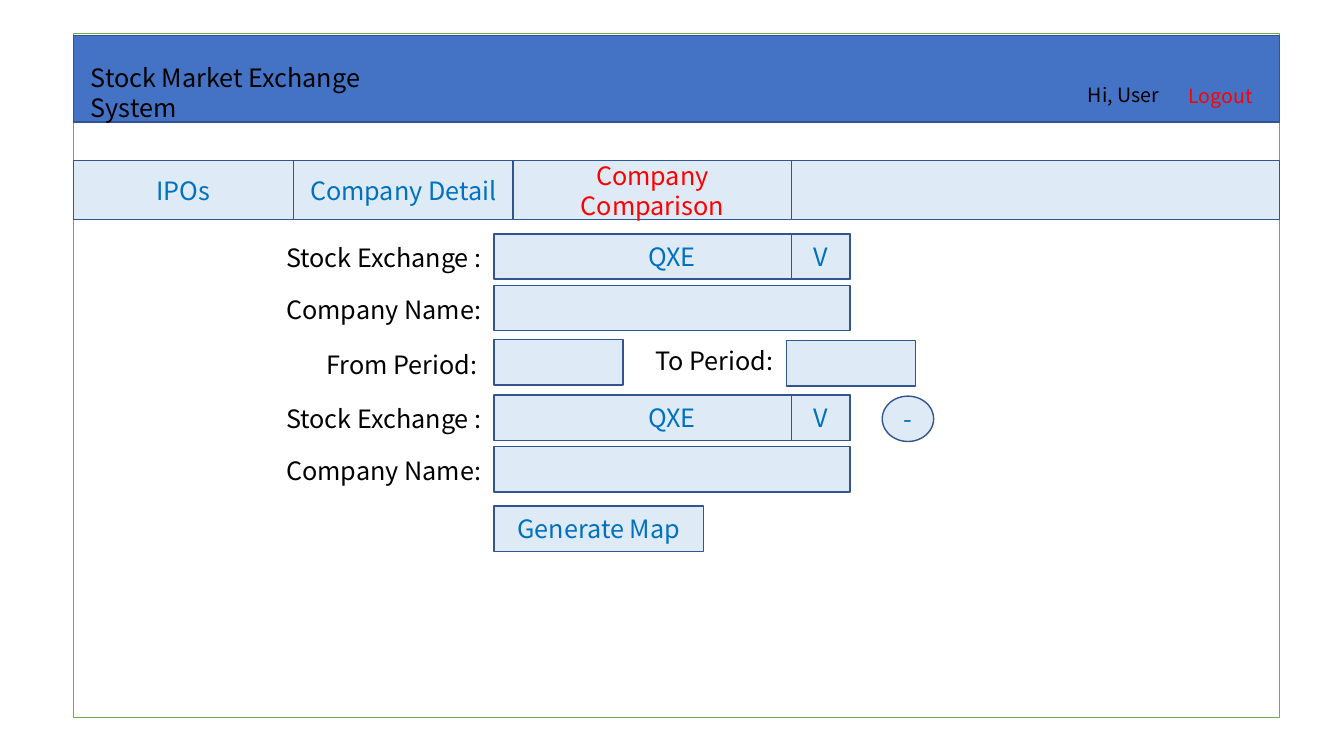
from dataclasses import dataclass

from pptx import Presentation
from pptx.dml.color import RGBColor as Rgb
from pptx.enum.shapes import MSO_SHAPE as Preset
from pptx.enum.text import MSO_ANCHOR as Anchor, MSO_AUTO_SIZE as AutoSize, PP_ALIGN as Align
from pptx.shapes.autoshape import Shape
from pptx.slide import Slide
from pptx.text.text import TextFrame
from pptx.util import Inches, Pt

COLORS = {
    "white": "FFFFFF", "black": "000000", "banner": "4472C4", "field": "DEEBF7",
    "outline": "325491", "frame": "70AD47", "link": "0070C0", "active": "FF0000",
}
FONT = {"name": "Noto Sans CJK SC", "bold": False}
LABEL_FRAME = {"word_wrap": True, "vertical_anchor": Anchor.TOP, "auto_size": AutoSize.NONE}
BOX_FRAME = {"word_wrap": True, "vertical_anchor": Anchor.MIDDLE}

PAGE_LEFT, PAGE_WIDTH = 0.73, 11.96
MENU_TOP, MENU_HEIGHT = 1.59, 0.59
FIELD_LEFT, FIELD_WIDTH, FIELD_HEIGHT = 4.9, 3.53, 0.45
ARROW_WIDTH, PERIOD_WIDTH = 0.58, 1.28
LABEL_LEFT, LABEL_WIDTH, LABEL_HEIGHT = 2.74, 2.27, 0.4
COMPANY_OFFSET = 0.51


@dataclass
class Box:
    left: float
    top: float
    width: float
    height: float = FIELD_HEIGHT
    text: str = ""
    color: str = "link"
    fill: str = "field"
    line: str = "outline"
    preset: Preset = Preset.RECTANGLE


@dataclass
class Label:
    text: str
    left: float
    top: float
    width: float = LABEL_WIDTH
    height: float = LABEL_HEIGHT
    size: int = 18
    color: str = "black"


def rgb(color: str) -> Rgb:
    return Rgb.from_string(COLORS[color])


def write(frame: TextFrame, text: str, size: int, color: str, align: Align, layout: dict) -> None:
    for name, value in layout.items():
        setattr(frame, name, value)
    line = frame.paragraphs[0]
    line.text, line.alignment = text, align
    font = line.runs[0].font
    for name, value in {**FONT, "size": Pt(size)}.items():
        setattr(font, name, value)
    font.color.rgb = rgb(color)


def draw_box(slide: Slide, box: Box) -> Shape:
    place = map(Inches, (box.left, box.top, box.width, box.height))
    drawn = slide.shapes.add_shape(box.preset, *place)
    drawn.shadow.inherit = False
    drawn.fill.solid()
    drawn.fill.fore_color.rgb = rgb(box.fill)
    drawn.line.color.rgb = rgb(box.line)
    drawn.line.width = Pt(1)
    if box.text:
        write(drawn.text_frame, box.text, 18, box.color, Align.CENTER, BOX_FRAME)
    return drawn


def draw_label(slide: Slide, label: Label) -> None:
    place = map(Inches, (label.left, label.top, label.width, label.height))
    drawn = slide.shapes.add_textbox(*place)
    write(drawn.text_frame, label.text, label.size, label.color, Align.LEFT, LABEL_FRAME)


def draw_header(slide: Slide) -> None:
    draw_box(slide, Box(PAGE_LEFT, 0.33, PAGE_WIDTH, 6.79, fill="white", line="frame"))
    banner = draw_box(slide, Box(PAGE_LEFT, 0.35, PAGE_WIDTH, 0.86, fill="banner"))

    # The system name stands in front of the banner
    title = slide.shapes.title
    place = {"left": 0.8, "top": 0.57, "width": 3.7, "height": 0.4}
    for name, value in place.items():
        setattr(title, name, Inches(value))
    write(title.text_frame, "Stock Market Exchange System", 18, "black", Align.LEFT, LABEL_FRAME)
    banner._element.addnext(title._element)

    draw_label(slide, Label("Hi, User", 10.69, 0.77, 1.44, 0.34, 14))
    draw_label(slide, Label("Logout", 11.69, 0.78, 1.44, 0.34, 14, "active"))


def draw_menu(slide: Slide) -> None:
    draw_box(slide, Box(PAGE_LEFT, MENU_TOP, PAGE_WIDTH, MENU_HEIGHT))
    tab_left = PAGE_LEFT
    for text, width, color in (
        ("IPOs", 2.18, "link"),
        ("Company Detail", 2.18, "link"),
        ("Company Comparison", 2.76, "active"),
    ):
        draw_box(slide, Box(tab_left, MENU_TOP, width, MENU_HEIGHT, text, color))
        tab_left += width


def draw_company(slide: Slide, top: float) -> None:
    """Exchange drop-down with the company name field below it."""
    arrow_left = FIELD_LEFT + FIELD_WIDTH - ARROW_WIDTH
    name_top = top + COMPANY_OFFSET
    draw_box(slide, Box(FIELD_LEFT, top, FIELD_WIDTH, text="QXE"))
    draw_box(slide, Box(arrow_left, top, ARROW_WIDTH, text="V"))
    draw_box(slide, Box(FIELD_LEFT, name_top, FIELD_WIDTH))
    draw_label(slide, Label("Stock Exchange :", LABEL_LEFT, top + 0.03))
    draw_label(slide, Label("Company Name:", LABEL_LEFT, name_top + 0.04))


def draw_period(slide: Slide) -> None:
    draw_box(slide, Box(FIELD_LEFT, 3.37, PERIOD_WIDTH))
    draw_box(slide, Box(7.8, 3.38, PERIOD_WIDTH))
    draw_label(slide, Label("From Period:", 3.14, 3.42, 1.72))
    draw_label(slide, Label("To Period:", 6.4, 3.38, 1.72))


def main() -> None:
    deck = Presentation()
    deck.slide_width, deck.slide_height = Inches(13.33), Inches(7.5)
    slide = deck.slides.add_slide(deck.slide_layouts[5])

    draw_header(slide)
    draw_menu(slide)

    # Comparison form
    for top in (2.32, 3.92):
        draw_company(slide, top)
    draw_period(slide)

    # Buttons
    draw_box(slide, Box(8.75, 3.93, 0.51, text="-", preset=Preset.OVAL))
    draw_box(slide, Box(FIELD_LEFT, 5.02, 2.08, text="Generate Map"))

    deck.save("out.pptx")


if __name__ == "__main__":
    main()
